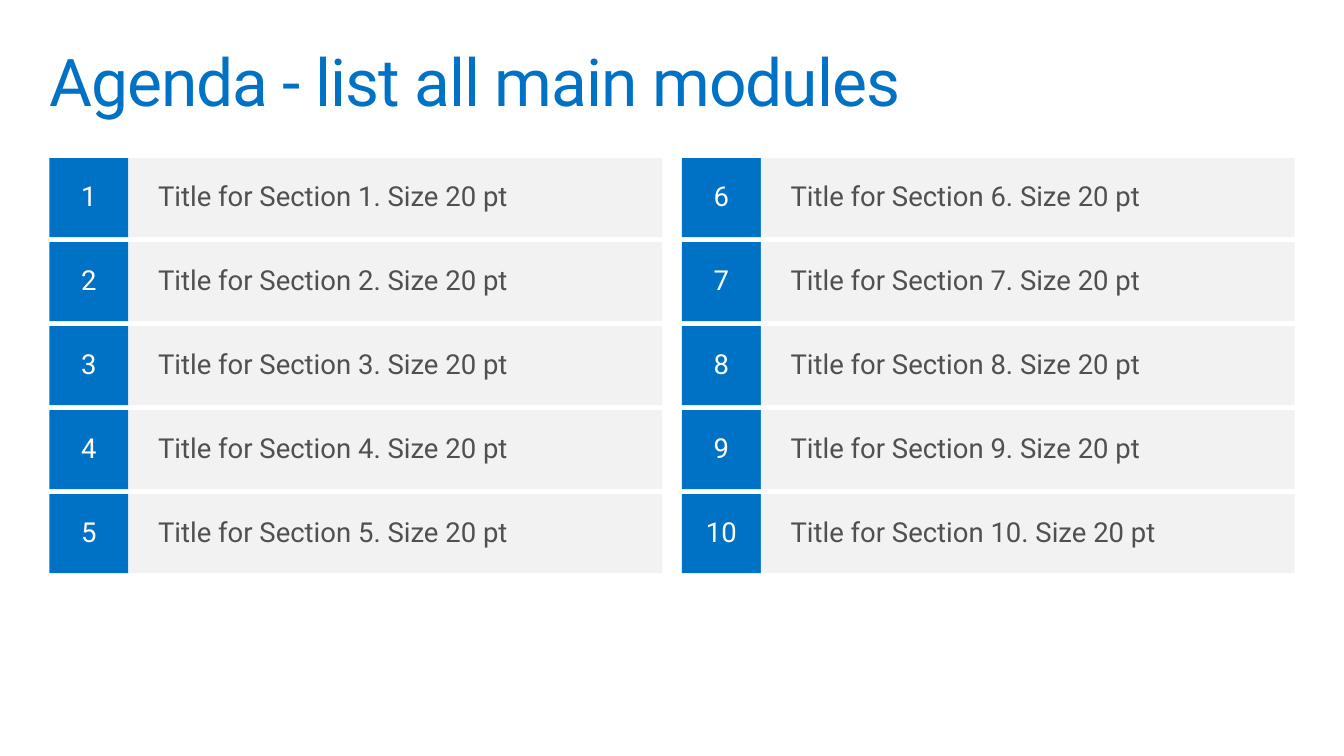
from dataclasses import dataclass

import pptx
import pptx.dml.color
import pptx.enum.shapes
import pptx.enum.text
import pptx.util

Inches = pptx.util.Inches
ALIGN = pptx.enum.text.PP_ALIGN
ANCHOR = pptx.enum.text.MSO_ANCHOR


@dataclass(frozen=True)
class Theme:
    font: str = "Roboto"
    accent: str = "0072C6"
    panel: str = "F2F2F2"
    body: str = "505050"
    light: str = "FFFFFF"
    title_size: int = 48
    section_size: int = 20


THEME = Theme()
SECTIONS = [f"Title for Section {number}. Size 20 pt" for number in range(1, 11)]
ROWS = 5
TOP, LEFT = 1.6, 0.5
ROW_PITCH, COLUMN_PITCH = 0.85, 6.4
ROW_HEIGHT, NUMBER_WIDTH, SECTION_WIDTH = 0.8, 0.8, 5.4


def rgb(value):
    return pptx.dml.color.RGBColor.from_string(value)


def set_all(target, values):
    for name, value in values.items():
        setattr(target, name, value)


def write_text(shape, text, size, color, inset_x, inset_y, anchor, alignment):
    """Fill a shape with one formatted paragraph and return its run."""
    frame = shape.text_frame
    set_all(frame, {
        "word_wrap": True,
        "vertical_anchor": anchor,
        "margin_left": Inches(inset_x),
        "margin_right": Inches(inset_x),
        "margin_top": Inches(inset_y),
        "margin_bottom": Inches(inset_y),
    })
    paragraph = frame.paragraphs[0]
    set_all(paragraph, {"alignment": alignment, "line_spacing": 0.9})
    run = paragraph.add_run()
    run.text = text
    set_all(run.font, {"name": THEME.font, "size": pptx.util.Pt(size)})
    run.font.color.rgb = rgb(color)
    return run


def add_title(slide, text):
    title = slide.shapes.add_textbox(Inches(0.4), Inches(0.4), Inches(12.8), Inches(1))
    run = write_text(title, text, THEME.title_size, THEME.accent, 0.1, 0.1,
                     ANCHOR.TOP, ALIGN.LEFT)
    run.font._element.set("spc", "-70")


def add_block(slide, left, top, width, fill, text, color, inset_x, inset_y, alignment):
    block = slide.shapes.add_shape(
        pptx.enum.shapes.MSO_SHAPE.RECTANGLE,
        Inches(left), Inches(top), Inches(width), Inches(ROW_HEIGHT))
    block.shadow.inherit = False
    block.fill.solid()
    block.fill.fore_color.rgb = rgb(fill)
    block.line.fill.background()
    write_text(block, text, THEME.section_size, color, inset_x, inset_y,
               ANCHOR.MIDDLE, alignment)


def add_agenda_item(slide, index, section):
    column, row = divmod(index, ROWS)
    left = LEFT + column * COLUMN_PITCH
    top = TOP + row * ROW_PITCH
    add_block(slide, left, top, NUMBER_WIDTH, THEME.accent, str(index + 1),
              THEME.light, 0.2, 0.16, ALIGN.CENTER)
    add_block(slide, left + NUMBER_WIDTH, top, SECTION_WIDTH, THEME.panel, section,
              THEME.body, 0.3, 0.1, ALIGN.LEFT)


def main():
    presentation = pptx.Presentation()
    set_all(presentation, {"slide_width": Inches(13.6), "slide_height": Inches(7.65)})
    slide = presentation.slides.add_slide(presentation.slide_layouts[6])
    add_title(slide, "Agenda - list all main modules")
    for index, section in enumerate(SECTIONS):
        add_agenda_item(slide, index, section)
    presentation.save("out.pptx")


if __name__ == "__main__":
    main()
